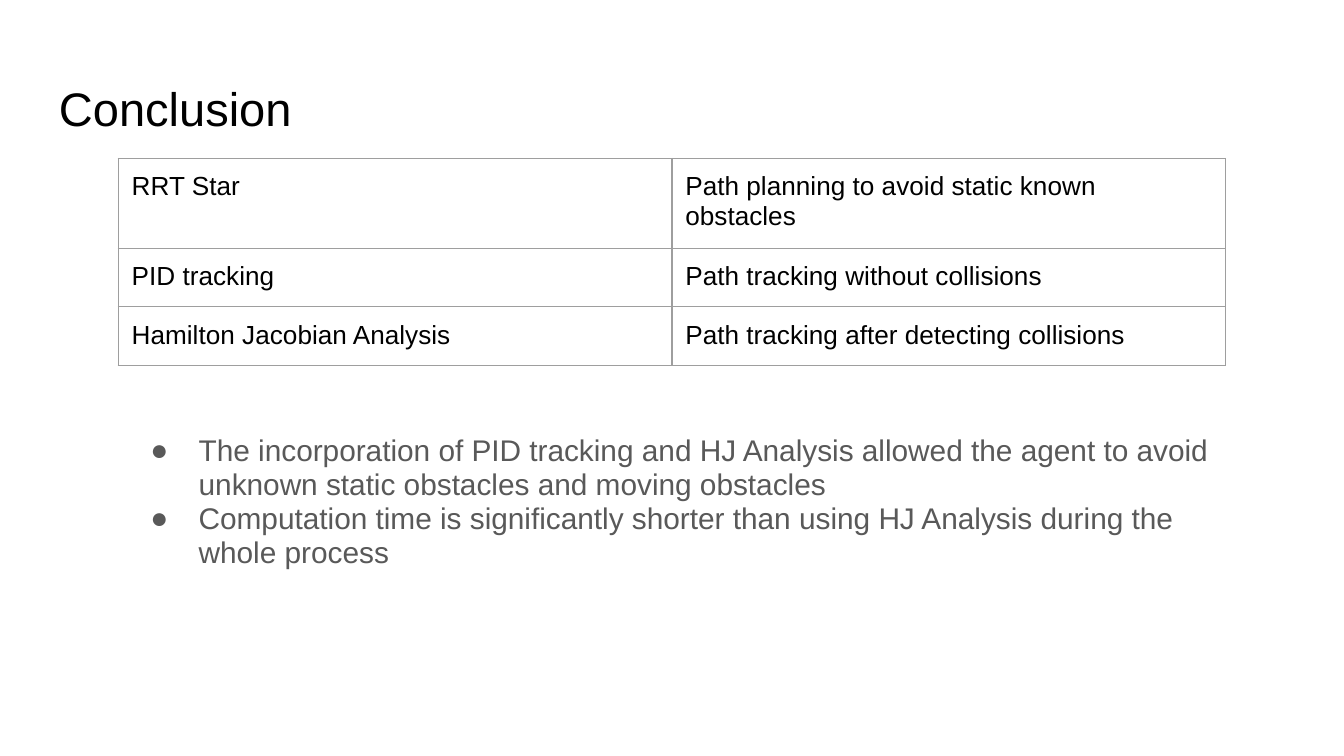
from dataclasses import dataclass

from lxml.etree import SubElement
from pptx import Presentation
from pptx.dml.color import RGBColor
from pptx.enum.text import MSO_ANCHOR
from pptx.oxml.ns import qn
from pptx.util import Inches, Pt


@dataclass(frozen=True)
class Theme:
    font: str = "Arial"
    ink: str = "000000"
    muted: str = "595959"
    border: str = "9E9E9E"
    paper: str = "FFFFFF"
    title_size: float = 25.2
    body_size: float = 16
    table_size: float = 14
    border_width: float = 0.75
    inset: float = 0.1


def write(paragraph, text, *, font, size, color, spacing=None):
    run = paragraph.add_run()
    run.text = text
    run.font.name = font
    run.font.size = Pt(size)
    run.font.color.rgb = RGBColor.from_string(color)
    if spacing:
        paragraph.line_spacing = spacing


def add_solid_fill(parent, tag, color):
    fill = SubElement(parent, qn(tag))
    SubElement(fill, qn("a:srgbClr"), val=color)


class SlideBuilder:
    def __init__(self, slide, theme):
        self.slide = slide
        self.theme = theme
        slide.background.fill.solid()
        slide.background.fill.fore_color.rgb = RGBColor.from_string(theme.paper)

    def set_margins(self, target):
        for side in ("left", "top", "right", "bottom"):
            setattr(target, f"margin_{side}", Inches(self.theme.inset))

    def text_frame(self, left, top, width, height):
        frame = self.slide.shapes.add_textbox(
            Inches(left), Inches(top), Inches(width), Inches(height)
        ).text_frame
        frame.word_wrap = True
        frame.vertical_anchor = MSO_ANCHOR.TOP
        self.set_margins(frame)
        return frame

    def title(self, text, left, top, width, height):
        heading = self.text_frame(left, top, width, height).paragraphs[0]
        write(heading, text, font=self.theme.font,
              size=self.theme.title_size, color=self.theme.ink)

    def bullets(self, points, left, top, width, height):
        frame = self.text_frame(left, top, width, height)
        for index, point in enumerate(points):
            paragraph = frame.add_paragraph() if index else frame.paragraphs[0]
            write(paragraph, point, font=self.theme.font,
                  size=self.theme.body_size, color=self.theme.muted, spacing=0.95)
            properties = paragraph._p.get_or_add_pPr()
            properties.set("marL", str(Inches(0.5)))
            properties.set("indent", str(Inches(-0.36)))
            add_solid_fill(properties, "a:buClr", self.theme.muted)
            SubElement(properties, qn("a:buFont"), typeface=self.theme.font)
            SubElement(properties, qn("a:buChar"), char="●")

    def cell_borders(self, cell):
        properties = cell._tc.get_or_add_tcPr()
        for edge in ("a:lnL", "a:lnR", "a:lnT", "a:lnB"):
            line = SubElement(properties, qn(edge), w=str(Pt(self.theme.border_width)))
            add_solid_fill(line, "a:solidFill", self.theme.border)

    def table(self, rows, left, top, column_width, row_heights):
        columns = len(rows[0])
        table = self.slide.shapes.add_table(
            len(rows), columns, Inches(left), Inches(top),
            Inches(column_width * columns), Inches(sum(row_heights))
        ).table
        table.first_row = False
        table.horz_banding = False
        for column in table.columns:
            column.width = Inches(column_width)
        for row, height, texts in zip(table.rows, row_heights, rows):
            row.height = Inches(height)
            for cell, text in zip(row.cells, texts):
                self.set_margins(cell)
                self.cell_borders(cell)
                cell.fill.background()
                write(cell.text_frame.paragraphs[0], text, font=self.theme.font,
                      size=self.theme.table_size, color=self.theme.ink)


def main():
    presentation = Presentation()
    presentation.slide_width = Inches(10)
    presentation.slide_height = Inches(10 * 9 / 16)
    slide = presentation.slides.add_slide(presentation.slide_layouts[6])
    builder = SlideBuilder(slide, Theme())

    builder.title("Conclusion", 0.34, 0.49, 9.32, 0.63)
    builder.bullets(
        [
            "The incorporation of PID tracking and HJ Analysis allowed the agent "
            "to avoid unknown static obstacles and moving obstacles",
            "Computation time is significantly shorter than using HJ Analysis "
            "during the whole process",
        ],
        0.88, 3.13, 8.24, 1.76,
    )
    builder.table(
        [
            ("RRT Star", "Path planning to avoid static known obstacles"),
            ("PID tracking", "Path tracking without collisions"),
            ("Hamilton Jacobian Analysis", "Path tracking after detecting collisions"),
        ],
        0.88, 1.18, 4.12, (0.67, 0.43, 0.43),
    )
    presentation.save("out.pptx")


if __name__ == "__main__":
    main()
